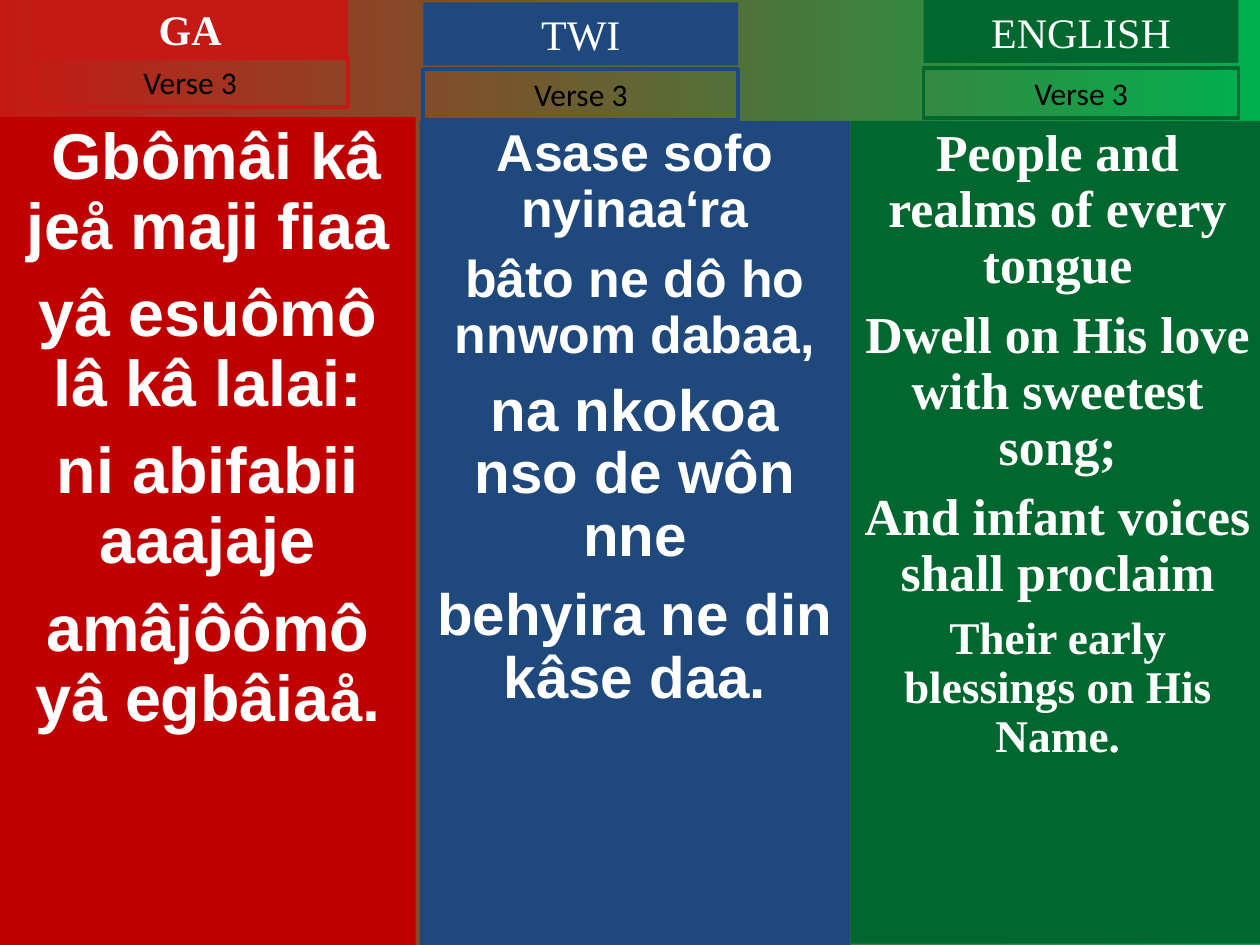
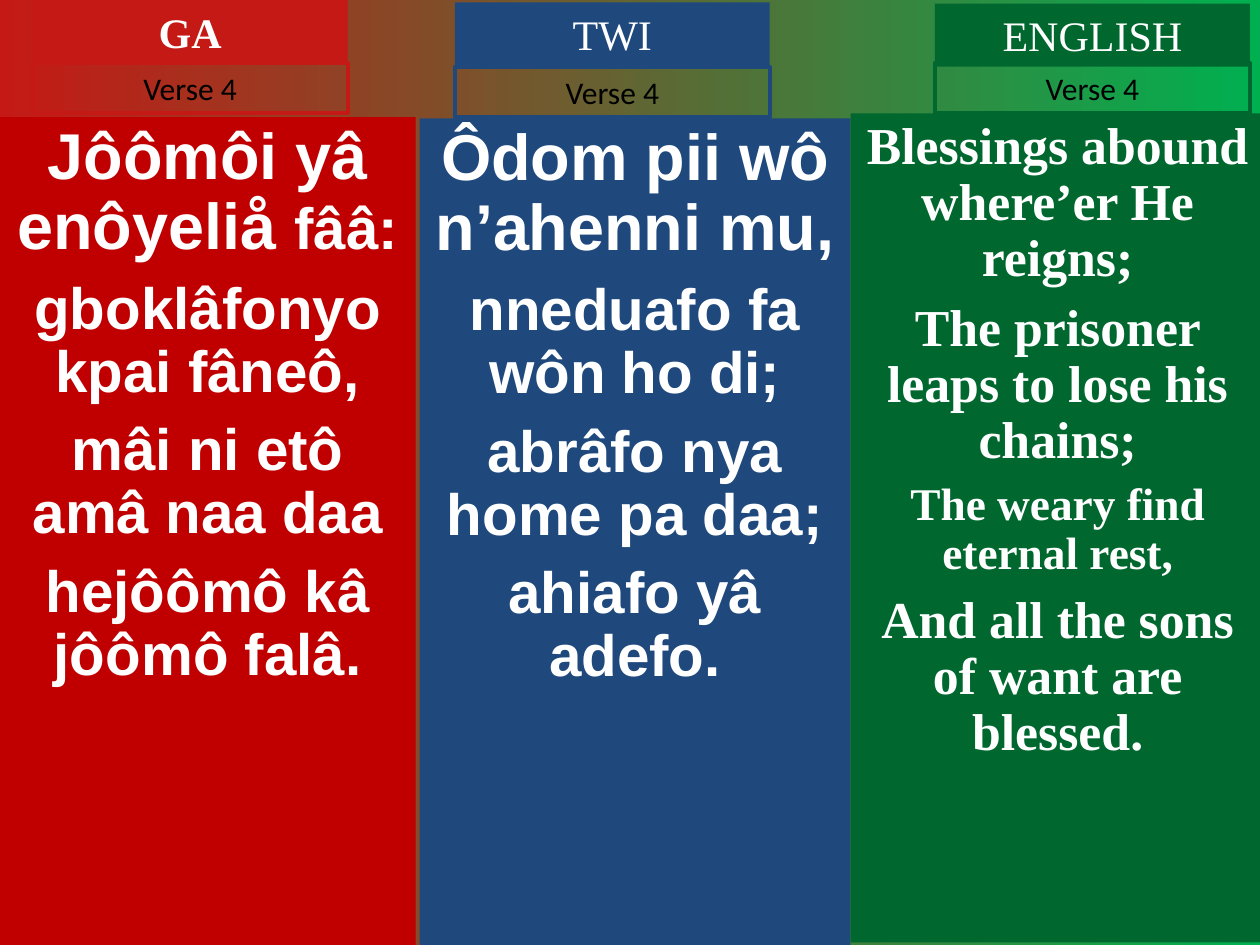
import pptx
import pptx.dml.color
import pptx.enum.shapes
import pptx.enum.text
import pptx.util

PX = 9144
SIZE_STEP = 3.7
COLORS = {
    "red": "C51915",
    "deep_red": "C00000",
    "blue": "1F497D",
    "green": "00682F",
    "bright_green": "00B050",
    "white": "FFFFFF",
    "black": "000000",
}
LANGUAGES = [
    dict(title="GA", accent="red", panel="deep_red", left=0, width=330, font="Arial", bold_title=True),
    dict(title="TWI", accent="blue", panel="blue", left=333, width=342, font="Arial", bold_title=False),
    dict(title="ENGLISH", accent="green", panel="green", left=675, width=329, font="Times New Roman", bold_title=False),
]
VERSES = {
    "Verse 3": [
        dict(heading=(26, -2), verse_top=45, panel=(93, 657), lines=[
            [(" Gbômâi kâ je", 10), ("å", 9), (" maji fiaa", 10)],
            [("yâ esuômô lâ kâ lalai:", 10)],
            [("ni abifabii aaajaje", 10)],
            [("amâjôômô yâ egbâia", 10), ("å", 9), (".", 10)],
        ]),
        dict(heading=(336, 2), verse_top=55, panel=(96, 654), lines=[
            [("Asase sofo nyinaa‘ra", 8)],
            [("bâto ne dô ho nnwom dabaa,", 8)],
            [("na nkokoa nso de wôn nne", 9)],
            [("behyira ne din kâse daa.", 9)],
        ]),
        dict(heading=(733, 0), verse_top=54, panel=(96, 653), lines=[
            [("People and realms of every tongue", 8)],
            [("Dwell on His love with sweetest song;", 8)],
            [("And infant voices shall proclaim", 8)],
            [("Their early blessings on His Name.", 7)],
        ]),
    ],
    "Verse 4": [
        dict(heading=(26, 0), verse_top=50, panel=(93, 657), lines=[
            [("Jôômôi yâ enôyeliå ", 10), ("fââ:", 9)],
            [("gboklâfonyo kpai fâneô,", 9)],
            [("mâi ni etô amâ naa daa", 9)],
            [("hejôômô kâ jôômô falâ.", 9)],
        ]),
        dict(heading=(361, 2), verse_top=53, panel=(94, 656), lines=[
            [("Ôdom pii wô n’ahenni mu,", 10)],
            [("nneduafo fa wôn ho di;", 9)],
            [("abrâfo nya home pa daa;", 9)],
            [("ahiafo yâ adefo.", 9)],
        ]),
        dict(heading=(742, 3), verse_top=50, panel=(90, 658), lines=[
            [("Blessings abound where’er He reigns;", 8)],
            [("The prisoner leaps to lose his chains;", 8)],
            [("The weary find eternal rest,", 7)],
            [("And all the sons of want are blessed.", 8)],
        ]),
    ],
}


def rgb(color):
    return pptx.dml.color.RGBColor.from_string(COLORS[color])


def write(paragraph, text, *, size, font, color="white", bold=False):
    paragraph.alignment = pptx.enum.text.PP_ALIGN.CENTER
    run = paragraph.add_run()
    run.text = text
    run.font.size = pptx.util.Pt(size)
    run.font.name = font
    run.font.bold = bold
    run.font.color.rgb = rgb(color)


class HymnDeck:
    def __init__(self):
        self.deck = pptx.Presentation()
        self.deck.slide_width = 1000 * PX
        self.deck.slide_height = 750 * PX
        self.slide = None

    def new_slide(self):
        self.slide = self.deck.slides.add_slide(self.deck.slide_layouts[6])
        backdrop = self.slide.background.fill
        backdrop.gradient()
        backdrop.gradient_angle = 0
        for stop, color, position in zip(backdrop.gradient_stops, ("red", "bright_green"), (0, 1)):
            stop.color.rgb = rgb(color)
            stop.position = position

    def box(self, left, top, width, height, fill=None, line=None):
        shape = self.slide.shapes.add_shape(
            pptx.enum.shapes.MSO_SHAPE.RECTANGLE, left * PX, top * PX, width * PX, height * PX)
        shape.shadow.inherit = False
        if fill:
            shape.fill.solid()
            shape.fill.fore_color.rgb = rgb(fill)
        else:
            shape.fill.background()
        if line:
            shape.line.color.rgb = rgb(line)
            shape.line.width = pptx.util.Pt(2.25)
        else:
            shape.line.fill.background()
        frame = shape.text_frame
        frame.word_wrap = True
        frame.vertical_anchor = pptx.enum.text.MSO_ANCHOR.TOP
        return frame

    def label(self, left, top, height, text, fill=None, line=None, **style):
        frame = self.box(left, top, 250, height, fill, line)
        frame.auto_size = pptx.enum.text.MSO_AUTO_SIZE.SHAPE_TO_FIT_TEXT
        write(frame.paragraphs[0], text, **style)

    def lyrics(self, language, top, height, lines):
        frame = self.box(language["left"], top, language["width"], height, language["panel"])
        for index, line in enumerate(lines):
            paragraph = frame.add_paragraph() if index else frame.paragraphs[0]
            paragraph.line_spacing = 0.9
            paragraph.space_before = pptx.util.Pt(line[0][1] if index else 0)
            for text, level in line:
                write(paragraph, text, size=SIZE_STEP * level, font=language["font"], bold=True)

    def column(self, verse, language, heading, verse_top, panel, lines):
        left, top = heading
        self.lyrics(language, *panel, lines)
        self.label(left, top, 50, language["title"], fill=language["accent"],
                   size=24, font="Times New Roman", bold=language["bold_title"])
        self.label(left, verse_top, 40, verse, line=language["accent"],
                   size=18, font="Calibri", color="black")


def main():
    hymn = HymnDeck()
    for verse, columns in VERSES.items():
        hymn.new_slide()
        for language, column in zip(LANGUAGES, columns):
            hymn.column(verse, language, **column)
    hymn.deck.save("out.pptx")


if __name__ == "__main__":
    main()
